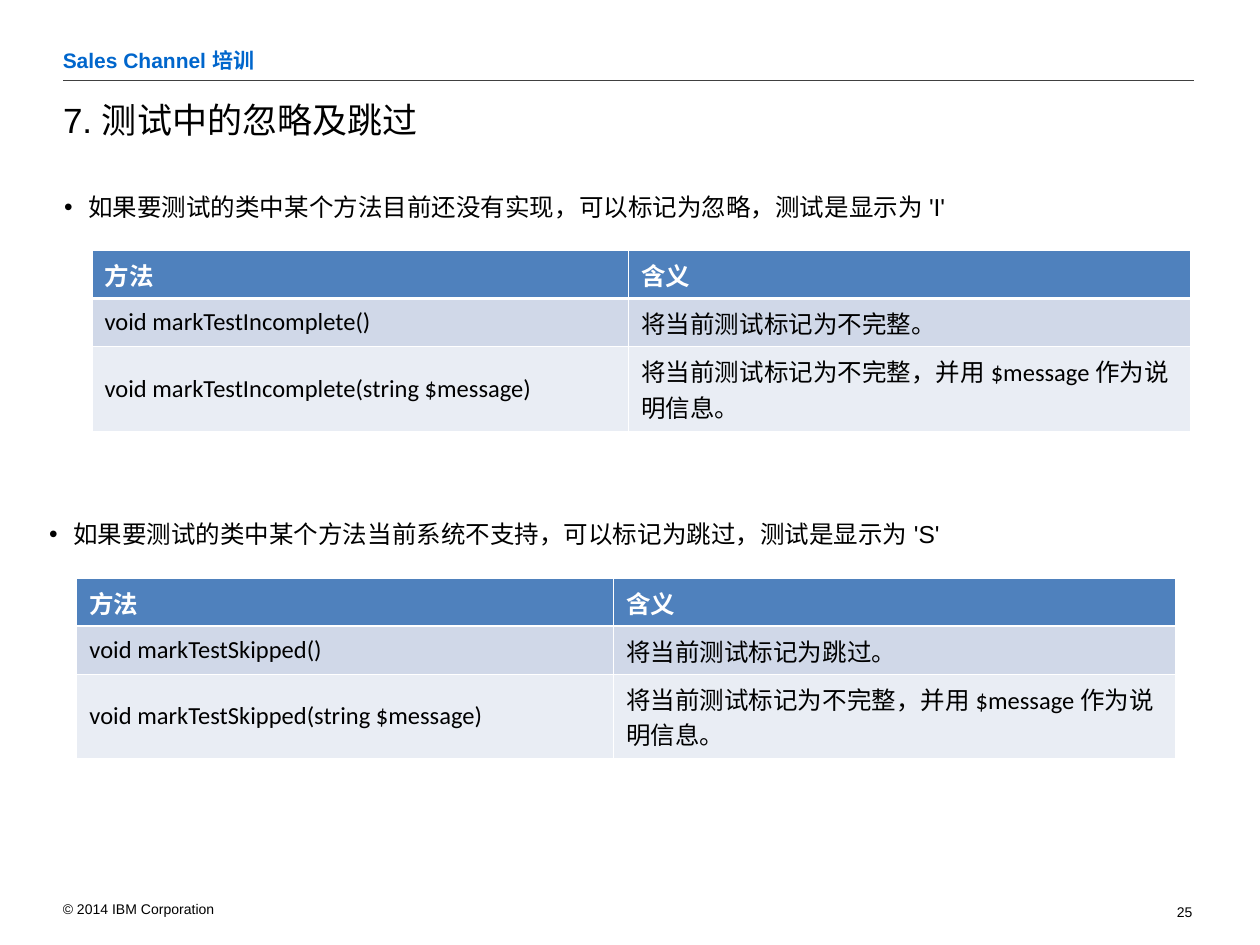
from lxml.etree import SubElement
from pptx import Presentation
from pptx.dml.color import RGBColor
from pptx.enum.shapes import MSO_CONNECTOR
from pptx.enum.text import MSO_ANCHOR, PP_ALIGN
from pptx.oxml.ns import qn
from pptx.util import Inches, Pt

# Content
HEADER = "Sales Channel 培训"
TITLE = "7. 测试中的忽略及跳过"
FOOTER = "© 2014 IBM Corporation"
PAGE_NUMBER = "25"
COLUMN_HEADS = ("方法", "含义")
WITH_MESSAGE = "将当前测试标记为不完整，并用 $message 作为说明信息。"
SECTIONS = [
    {
        "left": 0.5, "top": 1.24,
        "bullet": "如果要测试的类中某个方法目前还没有实现，可以标记为忽略，测试是显示为 'I'",
        "rows": [
            ("void markTestIncomplete()", "将当前测试标记为不完整。"),
            ("void markTestIncomplete(string $message)", WITH_MESSAGE),
        ],
    },
    {
        "left": 0.38, "top": 3.84,
        "bullet": "如果要测试的类中某个方法当前系统不支持，可以标记为跳过，测试是显示为 'S'",
        "rows": [
            ("void markTestSkipped()", "将当前测试标记为跳过。"),
            ("void markTestSkipped(string $message)", WITH_MESSAGE),
        ],
    },
]

# Layout and formats
BULLET_SIZE = (9.06, 0.75)
TABLE_INDENT = 0.23
COLUMN_WIDTHS = (4.26, 4.46)
ROW_HEIGHTS = (0.38, 0.38, 0.67)
ROW_FILLS = ("4F81BD", "D0D8E8", "E9EDF4")
THIN, THICK = 0.45, 1.47
PADDED = (0.1, 0.05, 0.1, 0.05)
FLUSH = (0, 0, 0, 0)
BULLET_PADDING = (0, 0.05, 0.1, 0.05)

HEADER_FONT = {"name": "Arial", "size": Pt(12), "bold": True}
TITLE_FONT = {"name": "Arial", "size": Pt(20), "bold": False}
BODY_FONT = {"name": "Arial", "size": Pt(14)}
SMALL_FONT = {"name": "Arial", "size": Pt(8)}
CELL_FONT = {"name": "Calibri", "size": Pt(14)}


def color(value):
    return RGBColor.from_string(value)


def write(frame, text, font, ink="000000"):
    para = frame.paragraphs[0]
    span = para.add_run()
    span.text = text
    for name, value in font.items():
        setattr(span.font, name, value)
    span.font.color.rgb = color(ink)
    return para


def set_padding(target, padding):
    for side, value in zip(("left", "top", "right", "bottom"), padding):
        setattr(target, f"margin_{side}", Inches(value))


def place(shape, area, padding):
    for name, value in zip(("left", "top", "width", "height"), area):
        setattr(shape, name, Inches(value))
    frame = shape.text_frame
    frame.word_wrap = True
    frame.vertical_anchor = MSO_ANCHOR.TOP
    set_padding(frame, padding)
    return frame


def add_text(page, area, text, font, padding, ink="000000"):
    box = page.shapes.add_textbox(0, 0, 0, 0)
    return write(place(box, area, padding), text, font, ink)


def add_bullet(para):
    properties = para._p.get_or_add_pPr()
    properties.set("marL", str(Inches(0.2)))
    properties.set("indent", str(Inches(-0.19)))
    SubElement(properties, qn("a:buFont"), typeface="Arial")
    SubElement(properties, qn("a:buChar"), char="•")
    para.line_spacing = 2.0


def add_borders(cell, top, bottom):
    properties = cell._tc.get_or_add_tcPr()
    for side, width in (("L", THIN), ("R", THIN), ("T", top), ("B", bottom)):
        line = SubElement(properties, qn(f"a:ln{side}"), w=str(Pt(width)))
        fill = SubElement(line, qn("a:solidFill"))
        SubElement(fill, qn("a:srgbClr"), val="FFFFFF")


def add_method_table(page, left, top, rows):
    table = page.shapes.add_table(
        len(rows), len(COLUMN_WIDTHS), Inches(left), Inches(top),
        Inches(sum(COLUMN_WIDTHS)), Inches(sum(ROW_HEIGHTS))).table
    table.horz_banding = False
    for column, width in zip(table.columns, COLUMN_WIDTHS):
        column.width = Inches(width)
    for r, texts in enumerate(rows):
        table.rows[r].height = Inches(ROW_HEIGHTS[r])
        for c, text in enumerate(texts):
            cell = table.cell(r, c)
            set_padding(cell, PADDED)
            cell.vertical_anchor = MSO_ANCHOR.MIDDLE
            add_borders(cell, THICK if r == 1 else THIN, THICK if r == 0 else THIN)
            cell.fill.solid()
            cell.fill.fore_color.rgb = color(ROW_FILLS[r])
            write(cell.text_frame, text, {**CELL_FONT, "bold": r == 0},
                  "FFFFFF" if r == 0 else "000000")


deck = Presentation()
deck.slide_width, deck.slide_height = Inches(10), Inches(7.5)
page = deck.slides.add_slide(deck.slide_layouts[5])

# Header, rule and footer
rule = page.shapes.add_connector(
    MSO_CONNECTOR.STRAIGHT, Inches(0.5), Inches(0.64), Inches(9.48), Inches(0.64))
rule.line.color.rgb = color("404040")
rule.line.width = Pt(0.75)
SubElement(rule._element.spPr, qn("a:effectLst"))
add_text(page, (0.4, 0.33, 8.27, 0.3), HEADER, HEADER_FONT, PADDED, "0066CC")
add_text(page, (0.4, 7.1, 3.34, 0.23), FOOTER, SMALL_FONT, PADDED)
add_text(page, (9.34, 7.17, 0.45, 0.13), PAGE_NUMBER, SMALL_FONT, FLUSH)

# Title
title = place(page.shapes.title, (0.5, 0.78, 8.94, 0.46), FLUSH)
write(title, TITLE, TITLE_FONT).alignment = PP_ALIGN.LEFT

# Each section: a bullet with its table below
for section in SECTIONS:
    left, top = section["left"], section["top"]
    add_bullet(add_text(page, (left, top, *BULLET_SIZE), section["bullet"],
                        BODY_FONT, BULLET_PADDING))
    add_method_table(page, left + TABLE_INDENT, top + BULLET_SIZE[1],
                     [COLUMN_HEADS, *section["rows"]])

deck.save("out.pptx")
